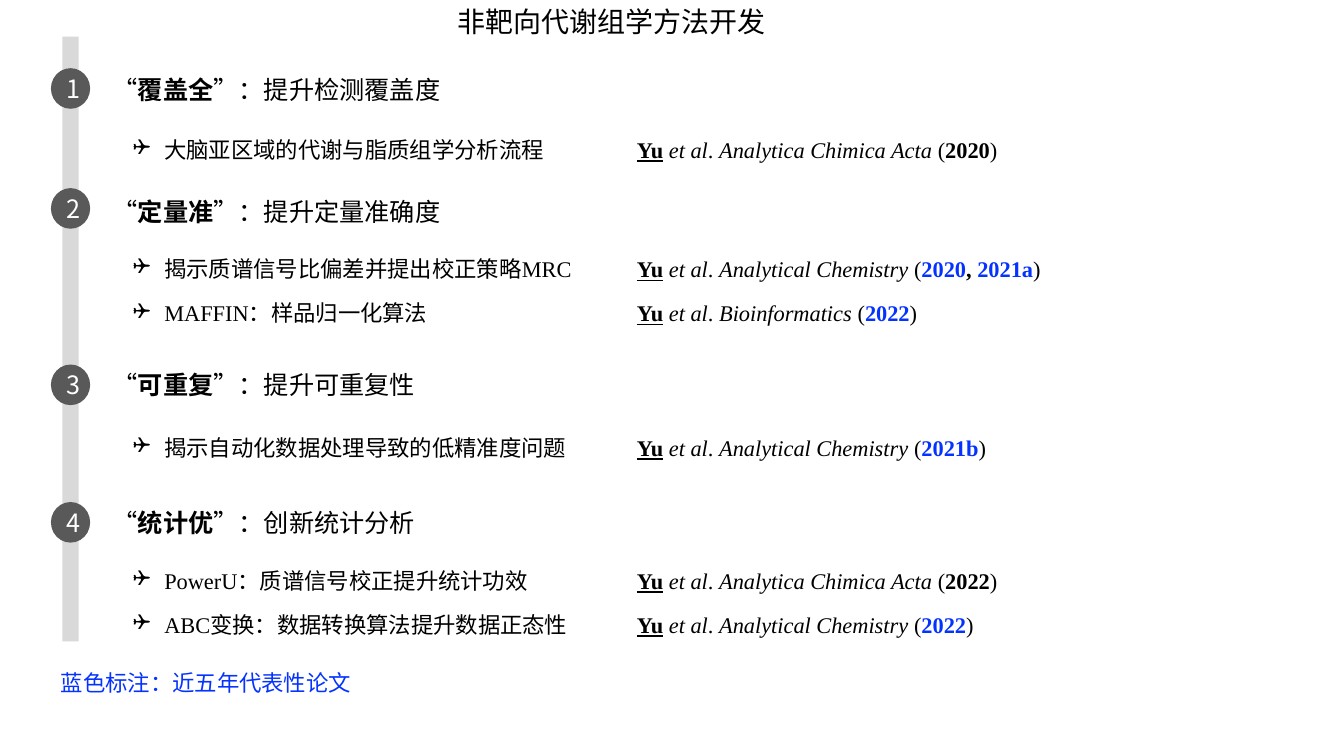
"""Build the slide on untargeted metabolomics method development."""
from dataclasses import dataclass

from lxml.etree import SubElement
from pptx import Presentation
from pptx.dml.color import RGBColor
from pptx.enum.shapes import MSO_SHAPE as SHAPE
from pptx.enum.text import MSO_ANCHOR as ANCHOR, MSO_AUTO_SIZE as AUTO, PP_ALIGN as ALIGN
from pptx.oxml.ns import qn
from pptx.util import Pt

COLORS = {"bar": "D9D9D9", "badge": "595959", "text": "000000",
          "white": "FFFFFF", "blue": "0432FF"}
CJK = "Noto Sans CJK SC"
LATIN = "Times New Roman"
INDENT = 22.5
CITATION_TAB = 360
PAPER_WIDTH = 700


@dataclass
class Span:
    text: str
    font: str = LATIN
    color: str = "text"
    bold: bool = False
    italic: bool = False
    underline: bool = False


@dataclass
class Section:
    badge_top: float
    heading_top: float
    keyword: str
    goal: str


@dataclass
class Paper:
    top: float
    topic: list[Span]
    journal: str
    years: list[str]
    highlighted: bool = True


SECTIONS = [
    Section(48.7, 49.7, "覆盖全", "提升检测覆盖度"),
    Section(134.4, 136.8, "定量准", "提升定量准确度"),
    Section(260.4, 260.6, "可重复", "提升可重复性"),
    Section(358.6, 358.6, "统计优", "创新统计分析"),
]

PAPERS = [
    Paper(84.2, [Span("大脑亚区域的代谢与脂质组学分析流程", CJK)],
          "Analytica Chimica Acta", ["2020"], False),
    Paper(169.2, [Span("揭示质谱信号比偏差并提出校正策略", CJK), Span("MRC")],
          "Analytical Chemistry", ["2020", "2021a"]),
    Paper(200.9, [Span("MAFFIN"), Span("：样品归一化算法", CJK)],
          "Bioinformatics", ["2022"]),
    Paper(297, [Span("揭示自动化数据处理导致的低精准度问题", CJK)],
          "Analytical Chemistry", ["2021b"]),
    Paper(392, [Span("PowerU"), Span("：质谱信号校正提升统计功效", CJK)],
          "Analytica Chimica Acta", ["2022"], False),
    Paper(423.4, [Span("ABC"), Span("变换：数据转换算法提升数据正态性", CJK)],
          "Analytical Chemistry", ["2022"]),
]


def add_spans(p, spans: list[Span], size: float) -> None:
    for span in spans:
        r = p.add_run()
        r.text = span.text
        f = r.font
        f.size, f.name = Pt(size), span.font
        f.bold, f.italic, f.underline = span.bold, span.italic, span.underline
        f.color.rgb = RGBColor.from_string(COLORS[span.color])
        SubElement(r._r.get_or_add_rPr(), qn("a:ea")).set("typeface", span.font)


def add_text(slide, left: float, top: float, width: float, height: float,
             spans: list[Span], size: float, wrap: bool = False):
    tf = slide.shapes.add_textbox(Pt(left), Pt(top), Pt(width), Pt(height)).text_frame
    tf.word_wrap = wrap
    tf.auto_size = AUTO.SHAPE_TO_FIT_TEXT
    p = tf.paragraphs[0]
    add_spans(p, spans, size)
    return p


def add_filled(slide, kind, left: float, top: float, width: float, height: float, color: str):
    sp = slide.shapes.add_shape(kind, Pt(left), Pt(top), Pt(width), Pt(height))
    sp.shadow.inherit = False
    sp.fill.solid()
    sp.fill.fore_color.rgb = RGBColor.from_string(COLORS[color])
    sp.line.fill.background()
    return sp


def add_section(slide, number: int, section: Section) -> None:
    spans = [Span("“", CJK), Span(section.keyword, CJK, bold=True),
             Span(f"”：{section.goal}", CJK)]
    width = 256 if len(section.goal) > 6 else 238
    add_text(slide, 73.4, section.heading_top, width, 29, spans, 18)
    sp = add_filled(slide, SHAPE.OVAL, 36.4, section.badge_top, 28, 29, "badge")
    tf = sp.text_frame
    tf.vertical_anchor = ANCHOR.MIDDLE
    p = tf.paragraphs[0]
    p.alignment = ALIGN.CENTER
    add_spans(p, [Span(str(number), CJK, "white")], 18)


def citation(paper: Paper) -> list[Span]:
    spans = [Span("\t"), Span("Yu", bold=True, underline=True), Span(" "),
             Span("et al", italic=True), Span(". "),
             Span(f"{paper.journal} ", italic=True), Span("(")]
    color = "blue" if paper.highlighted else "text"
    for i, year in enumerate(paper.years):
        if i:
            spans.append(Span(", ", bold=True))
        spans.append(Span(year, color=color, bold=True))
    return spans + [Span(")")]


def add_paper(slide, paper: Paper) -> None:
    spans = paper.topic + citation(paper)
    p = add_text(slide, 87.8, paper.top, PAPER_WIDTH, 33, spans, 16, True)
    pPr = p._p.get_or_add_pPr()
    pPr.set("marL", str(Pt(INDENT)))
    pPr.set("indent", str(Pt(-INDENT)))
    SubElement(pPr, qn("a:buFont")).set("typeface", "Wingdings")
    SubElement(pPr, qn("a:buChar")).set("char", "❑")
    tab = SubElement(SubElement(pPr, qn("a:tabLst")), qn("a:tab"))
    tab.set("pos", str(Pt(CITATION_TAB)))
    tab.set("algn", "l")
    p.line_spacing = 1.5


def main() -> None:
    prs = Presentation()
    prs.slide_width, prs.slide_height = Pt(960), Pt(540)
    slide = prs.slides.add_slide(prs.slide_layouts[6])
    add_filled(slide, SHAPE.RECTANGLE, 44.6, 26.2, 11.6, 432, "bar")
    add_text(slide, 319.7, 0, 237, 31.5, [Span("非靶向代谢组学方法开发", CJK)], 20)
    for number, section in enumerate(SECTIONS, 1):
        add_section(slide, number, section)
    for paper in PAPERS:
        add_paper(slide, paper)
    legend = [Span("蓝色标注：近五年代表性论文", CJK, "blue")]
    add_text(slide, 36.4, 465.1, 232.6, 33.8, legend, 16, True).line_spacing = 1.5
    prs.save("out.pptx")


if __name__ == "__main__":
    main()
